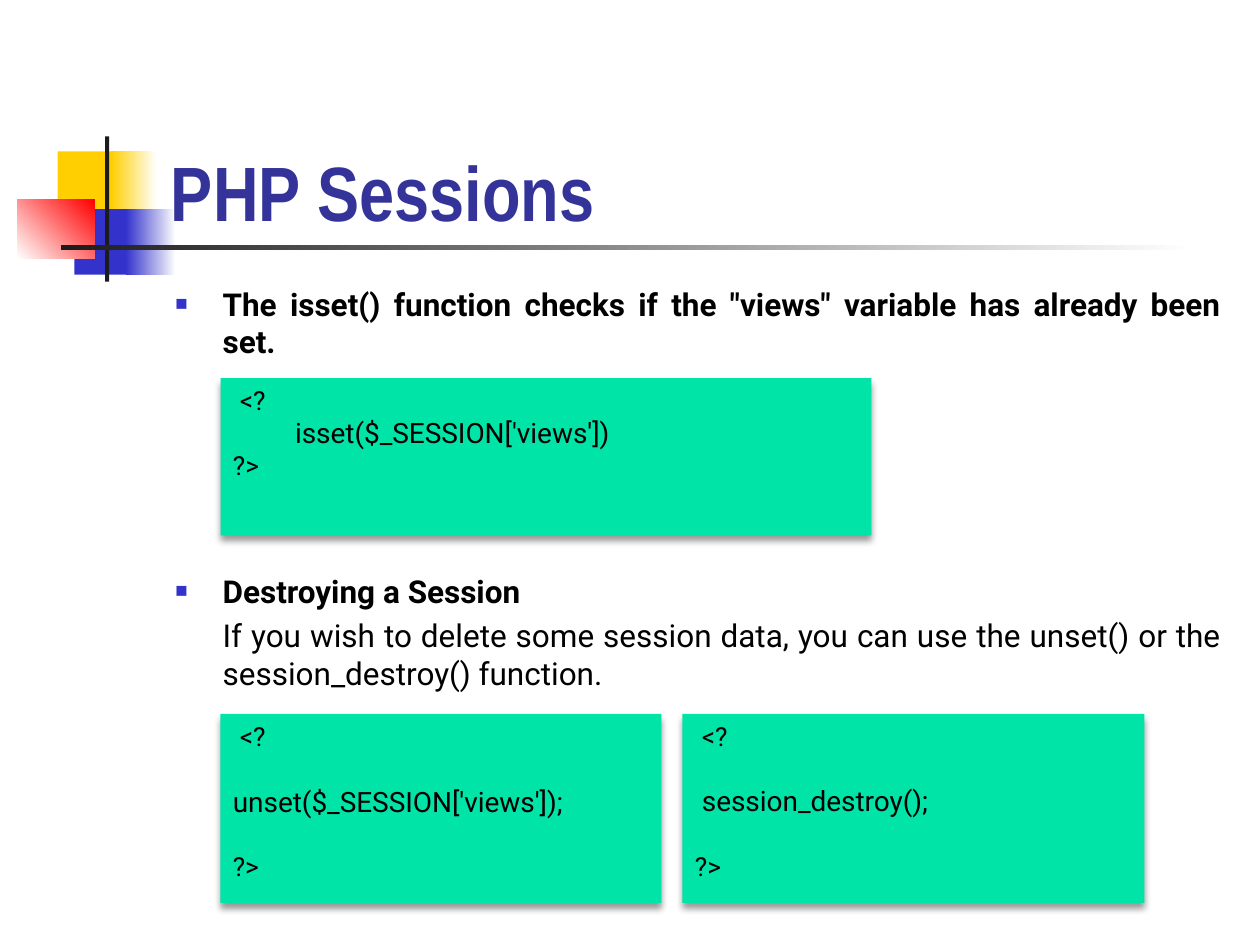
import pptx
import pptx.util
import pptx.dml.color
import pptx.enum.shapes
import pptx.enum.text
import pptx.oxml
import pptx.oxml.ns

Pt = pptx.util.Pt
ALIGN = pptx.enum.text.PP_ALIGN
ANCHOR = pptx.enum.text.MSO_ANCHOR

THEME = {
    "title_font": "Arial Narrow", "font": "Roboto",
    "title_size": 44, "body_size": 18, "code_size": 16, "tag_size": 15,
    "title": "333399", "ink": "000000", "code": "00E4A8",
    "yellow": "FFCF01", "blue": "3333CC", "red": "FF0000",
    "dark": "1C1C1C", "white": "FFFFFF",
}

TITLE = "PHP Sessions"
TITLE_AREA = (90.5, 49, 613.5, 90)
BODY_AREA = (93, 159, 612, 324)
HANG = 27

# text, bold with bullet, space before
BODY = [
    ('The isset() function checks if the "views" variable has already been set.', True, 0),
    ("Destroying a Session", True, 121),
    ("If you wish to delete some session data, you can use the unset() "
     "or the session_destroy() function.", False, 3.6),
]

# area, then lines: text, size, indent, space before
CODE_BOXES = [
    ((126, 216, 372, 90), [
        ("<?", "tag_size", 4, 0),
        ("isset($_SESSION['views'])", "code_size", 35.5, 0),
        ("?>", "tag_size", 0, 0)]),
    ((126, 408, 252, 108), [
        ("<?", "tag_size", 4, 0),
        ("unset($_SESSION['views']);", "code_size", 0, 19),
        ("?>", "tag_size", 0, 18)]),
    ((390, 408, 264, 108), [
        ("<?", "tag_size", 4, 0),
        ("session_destroy();", "code_size", 4, 18),
        ("?>", "tag_size", 0, 19)]),
]

# area, colours (two make a gradient), gradient angle
ORNAMENTS = [
    ((33, 86.5, 34.5, 37.5), ["yellow"], 0),
    ((63.5, 86.5, 26, 37.5), ["yellow", "white"], 0),
    ((42.5, 119.5, 33, 37.5), ["blue"], 0),
    ((72, 119.5, 28.5, 37.5), ["blue", "white"], 0),
    ((10, 114, 44, 33.5), ["white", "red"], 45),
    ((60, 78, 2.4, 83), ["dark"], 0),
    ((34.8, 140.2, 648, 2.5), ["dark", "white"], 0),
]


def colour(name):
    return pptx.dml.color.RGBColor.from_string(THEME[name])


def xml(parent, markup):
    """Append a DrawingML element, given as text, to parent."""
    head, tail = markup.split(">", 1) if not markup.split(">", 1)[0].endswith("/") \
        else (markup.split(">", 1)[0][:-1], None)
    space = " " + pptx.oxml.ns.nsdecls("a")
    source = head + space + ("/>" if tail is None else ">" + tail)
    parent.append(pptx.oxml.parse_xml(source))


def place(shape, area):
    shape.left, shape.top, shape.width, shape.height = map(Pt, area)


def write(para, text, size="body_size", font="font", ink="ink", bold=False,
          align=ALIGN.LEFT, before=0, indent=0, hang=0):
    para.alignment = align
    para.space_before = Pt(before)
    properties = para._p.get_or_add_pPr()
    properties.set("marL", str(int(Pt(indent))))
    properties.set("indent", str(int(-Pt(hang))))
    span = para.add_run()
    span.text = text
    span.font.name = THEME[font]
    span.font.size = Pt(THEME[size])
    span.font.bold = bold
    span.font.color.rgb = colour(ink)


def set_bullet(para, shown):
    properties = para._p.get_or_add_pPr()
    if shown:
        xml(properties, f'<a:buClr><a:srgbClr val="{THEME["blue"]}"/></a:buClr>')
        xml(properties, '<a:buSzPct val="65000"/>')
        xml(properties, '<a:buChar char="■"/>')
    else:
        xml(properties, "<a:buNone/>")


def next_para(frame, index):
    return frame.add_paragraph() if index else frame.paragraphs[0]


def add_block(page, area, colours, angle=0):
    box = page.shapes.add_shape(pptx.enum.shapes.MSO_SHAPE.RECTANGLE, *map(Pt, area))
    box.shadow.inherit = False
    box.line.fill.background()
    if len(colours) == 1:
        box.fill.solid()
        box.fill.fore_color.rgb = colour(colours[0])
    else:
        box.fill.gradient()
        box.fill.gradient_angle = angle
        for stop, name in zip(box.fill.gradient_stops, colours):
            stop.color.rgb = colour(name)
    return box


def add_code(page, area, lines):
    box = add_block(page, area, ["code"])
    effects = box._element.spPr.find(pptx.oxml.ns.qn("a:effectLst"))
    xml(effects, f'<a:outerShdw blurRad="{int(Pt(4))}" dist="{int(Pt(3))}" dir="5400000" '
                 'rotWithShape="0"><a:srgbClr val="000000"><a:alpha val="40000"/>'
                 '</a:srgbClr></a:outerShdw>')
    frame = box.text_frame
    frame.word_wrap = True
    frame.vertical_anchor = ANCHOR.TOP
    for index, (text, size, indent, before) in enumerate(lines):
        write(next_para(frame, index), text, size=size, indent=indent, before=before)


def main():
    deck = pptx.Presentation()
    deck.slide_width, deck.slide_height = Pt(720), Pt(540)
    page = deck.slides.add_slide(deck.slide_layouts[1])
    title, body = page.placeholders

    for ornament in ORNAMENTS:
        add_block(page, *ornament)

    for holder, area, anchor in ((title, TITLE_AREA, ANCHOR.BOTTOM),
                                 (body, BODY_AREA, ANCHOR.TOP)):
        place(holder, area)
        holder.text_frame.word_wrap = True
        holder.text_frame.auto_size = pptx.enum.text.MSO_AUTO_SIZE.NONE
        holder.text_frame.vertical_anchor = anchor
        page.shapes._spTree.append(holder._element)  # in front of the ornaments

    write(title.text_frame.paragraphs[0], TITLE, size="title_size",
          font="title_font", ink="title", bold=True)
    for index, (text, heading, before) in enumerate(BODY):
        para = next_para(body.text_frame, index)
        write(para, text, bold=heading, align=ALIGN.JUSTIFY, before=before,
              indent=HANG, hang=HANG if heading else 0)
        set_bullet(para, heading)

    for area, lines in CODE_BOXES:
        add_code(page, area, lines)
    deck.save("out.pptx")


if __name__ == "__main__":
    main()
